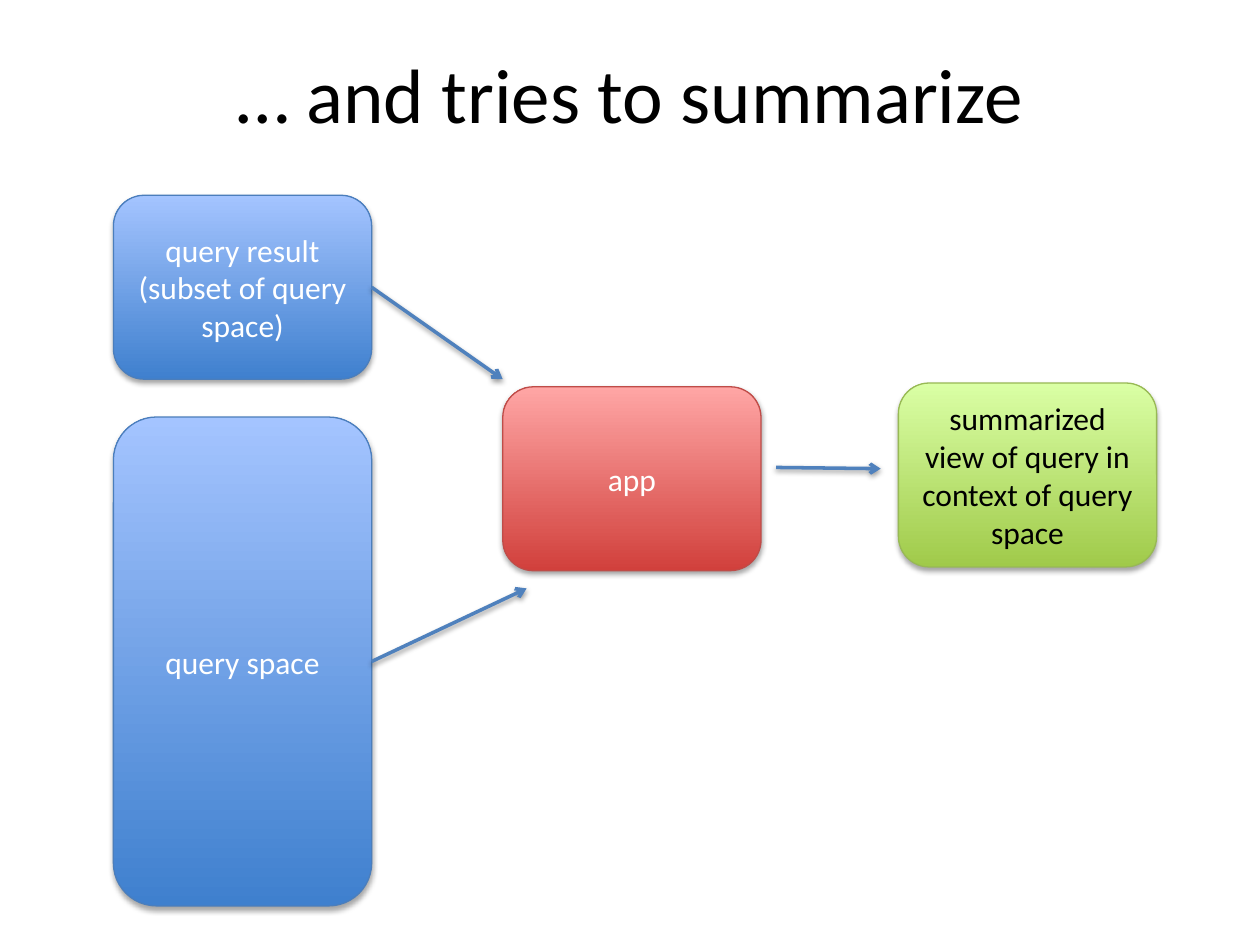
from lxml import etree
from pptx import Presentation
from pptx.dml.color import RGBColor
from pptx.enum.shapes import MSO_CONNECTOR, MSO_SHAPE
from pptx.enum.text import MSO_ANCHOR, PP_ALIGN
from pptx.oxml.ns import qn
from pptx.util import Inches, Pt

ROUNDED = MSO_SHAPE.ROUNDED_RECTANGLE
STRAIGHT = MSO_CONNECTOR.STRAIGHT
MIDDLE = MSO_ANCHOR.MIDDLE
CENTER = PP_ALIGN.CENTER
RIGHT_SIDE = 3

BLUE = ("3F80CE", "A4C4FF", "4B7EBC")
RED = ("D1403C", "FFA6A5", "BF4C48")
GREEN = ("A0CA4A", "DAFFA5", "98B955")


def rgb(value):
    return RGBColor.from_string(value)


class FlowSlide:
    font = "Calibri"
    black = "000000"
    white = "FFFFFF"
    arrow_color = "4F81BD"
    box_width = 2.05
    box_height = 1.46

    def __init__(self, slide):
        self.slide = slide

    def label(self, shape, text, size, color):
        frame = shape.text_frame
        frame.word_wrap = True
        frame.vertical_anchor = MIDDLE
        frame.text = text
        for paragraph in frame.paragraphs:
            paragraph.alignment = CENTER
            for run in paragraph.runs:
                run.font.name = self.font
                run.font.size = Pt(size)
                run.font.color.rgb = rgb(color)

    def cast_shadow(self, effects, distance, opacity):
        shadow = etree.SubElement(
            effects, qn("a:outerShdw"), blurRad=str(Pt(3.1)),
            dist=str(Pt(distance)), dir="5400000", rotWithShape="0")
        color = etree.SubElement(shadow, qn("a:srgbClr"), val=self.black)
        etree.SubElement(color, qn("a:alpha"), val=str(opacity * 1000))

    def title(self, text):
        heading = self.slide.shapes.add_textbox(
            Inches(0.5), Inches(0.11), Inches(9), Inches(1.25))
        self.label(heading, text, 44, self.black)

    def box(self, text, left, top, palette, height=box_height, color=white):
        bottom_color, top_color, outline = palette
        box = self.slide.shapes.add_shape(
            ROUNDED, Inches(left), Inches(top),
            Inches(self.box_width), Inches(height))
        box.fill.gradient()
        box.fill.gradient_angle = 90
        for stop, shade, position in zip(
                box.fill.gradient_stops, (bottom_color, top_color), (0, 1)):
            stop.color.rgb = rgb(shade)
            stop.position = position
        box.line.color.rgb = rgb(outline)
        box.line.width = Pt(0.75)
        box.shadow.inherit = False
        self.cast_shadow(box.element.spPr.find(qn("a:effectLst")), 1.8, 35)
        self.label(box, text, 18, color)
        return box

    def arrow(self, start, end, source=None):
        arrow = self.slide.shapes.add_connector(
            STRAIGHT, *(Inches(length) for length in start + end))
        if source is not None:
            arrow.begin_connect(source, RIGHT_SIDE)
        arrow.line.color.rgb = rgb(self.arrow_color)
        arrow.line.width = Pt(2)
        properties = arrow.element.spPr
        etree.SubElement(properties.find(qn("a:ln")), qn("a:tailEnd"), type="arrow")
        effects = etree.SubElement(properties, qn("a:effectLst"))
        self.cast_shadow(effects, 1.6, 38)


def main():
    deck = Presentation()
    deck.slide_width = Inches(10)
    deck.slide_height = Inches(7.5)
    flow = FlowSlide(deck.slides.add_slide(deck.slide_layouts[6]))

    flow.title("… and tries to summarize")
    query_result = flow.box("query result\n(subset of query space)", 0.9, 1.55, BLUE)
    query_space = flow.box("query space", 0.9, 3.31, BLUE, height=3.88)
    flow.arrow((2.95, 2.28), (3.99, 3.01), query_result)
    flow.arrow((2.95, 5.25), (4.18, 4.67), query_space)
    flow.box("app", 3.99, 3.07, RED)
    flow.box("summarized view of query in context of query space",
             7.13, 3.04, GREEN, color=flow.black)
    flow.arrow((6.16, 3.71), (6.99, 3.72))

    deck.save("out.pptx")


if __name__ == "__main__":
    main()
